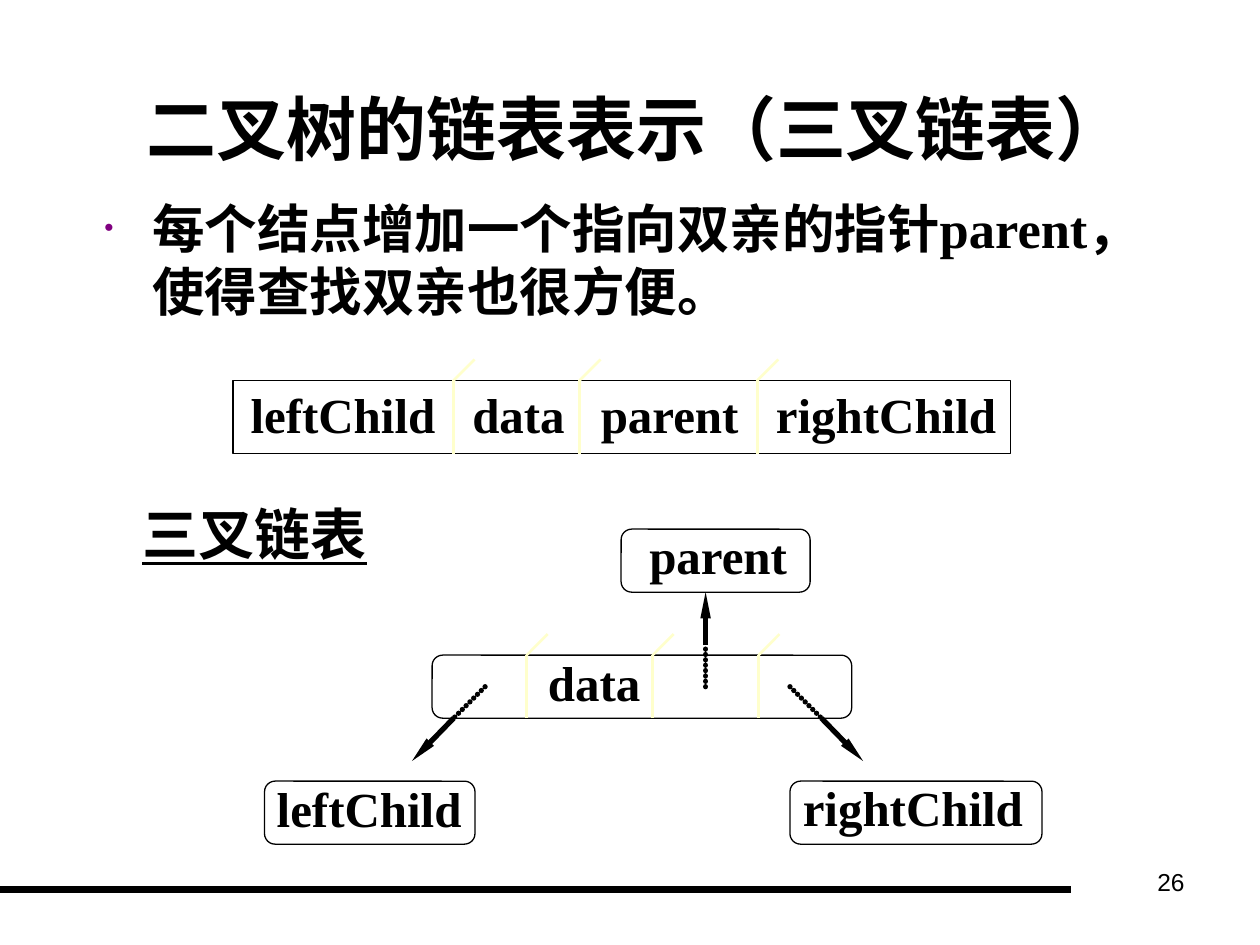
import dataclasses
import typing

import pptx
import pptx.dml.color
import pptx.enum.shapes
import pptx.enum.text
import pptx.oxml.ns
import pptx.util
from lxml import etree

COLORS = {"ink": "000000", "paper": "FFFFFF", "divider": "FFFFCC", "bullet": "800080"}
LATIN = "Times New Roman"
ALIGN = pptx.enum.text.PP_ALIGN
ANCHOR = pptx.enum.text.MSO_ANCHOR
SHAPE = pptx.enum.shapes.MSO_SHAPE

prs = pptx.Presentation()
prs.slide_width = pptx.util.Inches(10)
prs.slide_height = pptx.util.Inches(7.5)
COL = prs.slide_width / 100
ROW = prs.slide_height / 75
s = prs.slides.add_slide(prs.slide_layouts[6])


@dataclasses.dataclass
class Area:
    col: float
    row: float
    cols: float
    rows: float

    def emu(self) -> list[int]:
        return [round(v) for v in (self.col * COL, self.row * ROW, self.cols * COL, self.rows * ROW)]


@dataclasses.dataclass
class Label:
    text: str
    area: Area
    size: float = 28
    name: str = LATIN
    bold: bool = True
    underline: bool = False
    align: ALIGN = ALIGN.CENTER
    anchor: ANCHOR = ANCHOR.MIDDLE
    wrap: bool = False
    tabs: tuple[float, ...] = ()
    bullet: bool = False


@dataclasses.dataclass
class Record:
    area: Area
    kind: SHAPE
    dividers: tuple[float, ...] = ()


@dataclasses.dataclass
class Pointer:
    start: tuple[float, float]
    edge: tuple[float, float]
    tip: tuple[float, float]


def rgb(key: str) -> pptx.dml.color.RGBColor:
    return pptx.dml.color.RGBColor.from_string(COLORS[key])


def add(parent: typing.Any, tag: str, **attrs: str) -> typing.Any:
    return etree.SubElement(parent, pptx.oxml.ns.qn(tag), attrs)


def add_bullet(p: typing.Any) -> None:
    pPr = p._p.get_or_add_pPr()
    indent = pptx.util.Inches(0.38)
    pPr.set("marL", str(indent))
    pPr.set("indent", str(-indent))
    add(add(pPr, "a:buClr"), "a:srgbClr", val=COLORS["bullet"])
    add(pPr, "a:buSzPct", val="50000")
    add(pPr, "a:buFont", typeface="Arial")
    add(pPr, "a:buChar", char="•")


def draw_label(label: Label) -> None:
    tf = s.shapes.add_textbox(*label.area.emu()).text_frame
    tf.word_wrap = label.wrap
    tf.vertical_anchor = label.anchor
    if not label.wrap:
        tf.margin_left = tf.margin_right = 0
    p = tf.paragraphs[0]
    p.alignment = label.align
    if label.bullet:
        add_bullet(p)
    if label.tabs:
        tab_list = add(p._p.get_or_add_pPr(), "a:tabLst")
        for col in label.tabs:
            add(tab_list, "a:tab", pos=str(round(col * COL)), algn="l")
    r = p.add_run()
    r.text = label.text
    formats = {
        "size": pptx.util.Pt(label.size),
        "name": label.name,
        "bold": label.bold,
        "underline": label.underline,
    }
    for key, value in formats.items():
        setattr(r.font, key, value)
    r.font.color.rgb = rgb("ink")


def draw_line(start: tuple[float, float], end: tuple[float, float], color: str, width: float,
              dotted: bool = False, arrow: bool = False) -> None:
    points = [round(v * unit) for point in (start, end) for v, unit in zip(point, (COL, ROW))]
    sp = s.shapes.add_connector(pptx.enum.shapes.MSO_CONNECTOR.STRAIGHT, *points)
    sp.line.color.rgb = rgb(color)
    sp.line.width = pptx.util.Pt(width)
    ln = sp.line._get_or_add_ln()
    if dotted:
        ln.set("cap", "rnd")
        add(add(ln, "a:custDash"), "a:ds", d="100000", sp="2000")
    if arrow:
        add(ln, "a:tailEnd", type="triangle", w="sm", len="lg")
    add(sp._element.spPr, "a:effectLst")


def draw_record(record: Record) -> None:
    sp = s.shapes.add_shape(record.kind, *record.area.emu())
    sp.shadow.inherit = False
    sp.fill.solid()
    sp.fill.fore_color.rgb = rgb("paper")
    sp.line.color.rgb = rgb("ink")
    sp.line.width = pptx.util.Pt(0.75)
    top = record.area.row
    for col in record.dividers:
        draw_line((col, top + record.area.rows), (col, top), "divider", 1.5)
        draw_line((col, top), (col + 1.67, top - 1.67), "divider", 1.5)


def draw_pointer(pointer: Pointer) -> None:
    draw_line(pointer.start, pointer.edge, "ink", 3, dotted=True)
    draw_line(pointer.edge, pointer.tip, "ink", 3, arrow=True)


RECORDS = [
    Record(Area(18.5, 30.2, 61.7, 5.8), SHAPE.RECTANGLE, (36, 46, 60.1)),
    Record(Area(49.3, 42, 15, 5), SHAPE.ROUNDED_RECTANGLE),
    Record(Area(34.3, 52, 33.3, 5), SHAPE.ROUNDED_RECTANGLE, (41.8, 51.8, 60.2)),
    Record(Area(62.7, 62, 20, 5), SHAPE.ROUNDED_RECTANGLE),
    Record(Area(21, 62, 16.7, 5), SHAPE.ROUNDED_RECTANGLE),
]
POINTERS = [
    Pointer((56, 54.5), (56, 51.2), (56, 47)),
    Pointer((38.5, 54.5), (36, 57), (32.7, 60.4)),
    Pointer((62.7, 54.5), (65.2, 57), (68.5, 60.4)),
]
LABELS = [
    Label("二叉树的链表表示（三叉链表）", Area(5.5, 4.8, 90, 10.6), 40, "Arial", wrap=True),
    Label("每个结点增加一个指向双亲的指针parent，使得查找双亲也很方便。",
          Area(7.3, 15.1, 87.2, 11.4), 30, align=ALIGN.LEFT, anchor=ANCHOR.TOP,
          wrap=True, bullet=True),
    Label("leftChild\tdata\tparent\trightChild", Area(18.9, 30, 63, 5.7),
          align=ALIGN.LEFT, wrap=True, tabs=(17.6, 27.8, 41.7)),
    Label("三叉链表", Area(10.3, 39.1, 19.8, 6.4), 32, underline=True),
    Label("parent", Area(50.5, 41.2, 13, 5.7)),
    Label("data", Area(42.5, 51.3, 9.3, 5.7)),
    Label("leftChild", Area(21, 61.3, 16.6, 5.7)),
    Label("rightChild", Area(62.7, 61.2, 19.5, 5.7)),
    Label("26", Area(71.7, 68.3, 23.3, 5.2), 14, "Arial", bold=False,
          align=ALIGN.RIGHT, anchor=ANCHOR.TOP, wrap=True),
]

draw_line((0, 70.6), (85, 70.6), "ink", 4.5)
for record in RECORDS:
    draw_record(record)
for pointer in POINTERS:
    draw_pointer(pointer)
for label in LABELS:
    draw_label(label)
prs.save("out.pptx")
